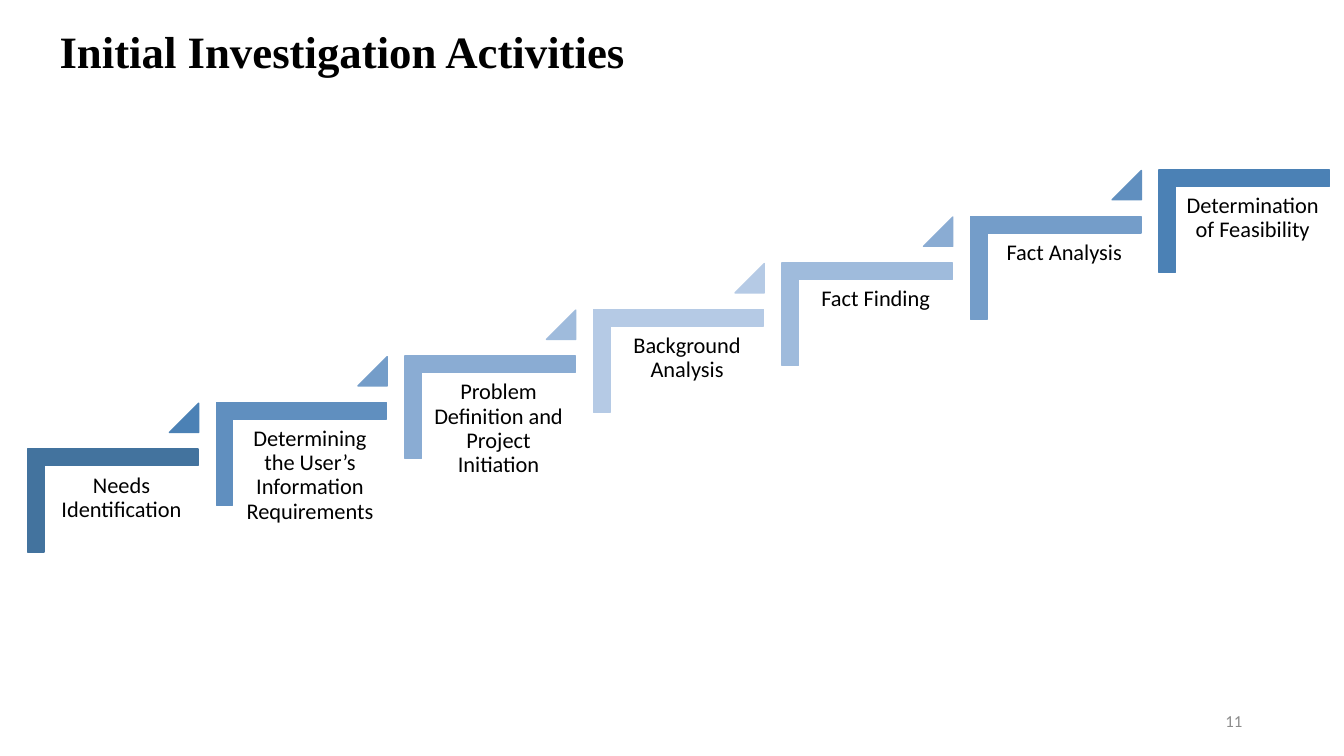
from dataclasses import dataclass

from pptx import Presentation
from pptx.dml.color import RGBColor
from pptx.enum.shapes import MSO_SHAPE
from pptx.enum.text import MSO_ANCHOR, MSO_AUTO_SIZE, PP_ALIGN
from pptx.util import Pt

# Content: each step with its bracket colour and the colour of the arrow after it
TITLE = "Initial Investigation Activities"
PAGE_NUMBER = "11"
STEPS = [
    ("Needs Identification", "43739E", "4B81B5"),
    ("Determining the User’s Information Requirements", "608FBF", "749DC9"),
    ("Problem Definition and Project Initiation", "8AACD3", "9FBBDC"),
    ("Background Analysis", "B5CAE5", "B5CAE5"),
    ("Fact Finding", "9FBBDC", "8AACD3"),
    ("Fact Analysis", "749DC9", "608FBF"),
    ("Determination of Feasibility", "4B81B5", None),
]


@dataclass(frozen=True)
class Theme:
    title_font: str = "Times New Roman"
    body_font: str = "Calibri"
    ink: str = "000000"
    muted: str = "8C8C8C"
    title_size: int = 32
    step_size: int = 16
    number_size: int = 12
    line_spacing: float = 0.9


THEME = Theme()

# Layout in px, 100 to the inch
EMU_PER_PX = 9144
SLIDE = (1333, 750)
TITLE_BOX = (49, 5, 1150, 97)
NUMBER_BOX = (942, 695, 300, 40)
BRACKET = (61, 412, 102, 169)
LABEL = (44, 463, 153, 134)
ARROW = (168, 400, 29, 29)
STEP_RUN = 187
TOTAL_RISE = 277
LABEL_INSET = 7
BRACKET_THICKNESS = 0.16


def px(length):
    return round(length * EMU_PER_PX)


def emu_box(box):
    return [px(length) for length in box]


def climb(box, index):
    """Move a first-step box along the staircase to the given step."""
    left, top, width, height = box
    rise = TOTAL_RISE * index / (len(STEPS) - 1)
    return emu_box((left + STEP_RUN * index, top - rise, width, height))


def write(frame, text, size, font, color, align, bold=False):
    frame.word_wrap = True
    frame.text = text
    paragraph = frame.paragraphs[0]
    paragraph.alignment = align
    run_font = paragraph.runs[0].font
    run_font.size, run_font.name, run_font.bold = Pt(size), font, bold
    run_font.color.rgb = RGBColor.from_string(color)
    return paragraph


def add_solid(shapes, preset, box, color):
    solid = shapes.add_shape(preset, *box)
    solid.shadow.inherit = False
    solid.fill.solid()
    solid.fill.fore_color.rgb = RGBColor.from_string(color)
    solid.line.color.rgb = RGBColor.from_string(color)
    solid.line.width = Pt(1)
    return solid


def add_step(shapes, index, name, bracket_color, arrow_color):
    bracket = add_solid(shapes, MSO_SHAPE.CORNER, climb(BRACKET, index), bracket_color)
    bracket.rotation = 90
    bracket.adjustments[0] = bracket.adjustments[1] = BRACKET_THICKNESS

    label = shapes.add_textbox(*climb(LABEL, index)).text_frame
    label.margin_left = label.margin_right = px(LABEL_INSET)
    label.margin_top = label.margin_bottom = px(LABEL_INSET)
    paragraph = write(label, name, THEME.step_size, THEME.body_font,
                      THEME.ink, PP_ALIGN.CENTER)
    paragraph.line_spacing = THEME.line_spacing

    if arrow_color:
        arrow = add_solid(shapes, MSO_SHAPE.ISOSCELES_TRIANGLE,
                          climb(ARROW, index), arrow_color)
        arrow.adjustments[0] = 1


def main():
    deck = Presentation()
    deck.slide_width, deck.slide_height = emu_box(SLIDE)
    slide = deck.slides.add_slide(deck.slide_layouts[5])

    # Title
    title = slide.shapes.title
    title.left, title.top, title.width, title.height = emu_box(TITLE_BOX)
    title.text_frame.auto_size = MSO_AUTO_SIZE.NONE
    title.text_frame.vertical_anchor = MSO_ANCHOR.MIDDLE
    heading = write(title.text_frame, TITLE, THEME.title_size, THEME.title_font,
                    THEME.ink, PP_ALIGN.LEFT, bold=True)
    heading.line_spacing = THEME.line_spacing

    # Page number
    number = slide.shapes.add_textbox(*emu_box(NUMBER_BOX)).text_frame
    number.vertical_anchor = MSO_ANCHOR.MIDDLE
    write(number, PAGE_NUMBER, THEME.number_size, THEME.body_font,
          THEME.muted, PP_ALIGN.RIGHT)

    # Staircase of steps
    staircase = slide.shapes.add_group_shape()
    for index, step in enumerate(STEPS):
        add_step(staircase.shapes, index, *step)

    deck.save("out.pptx")


if __name__ == "__main__":
    main()
